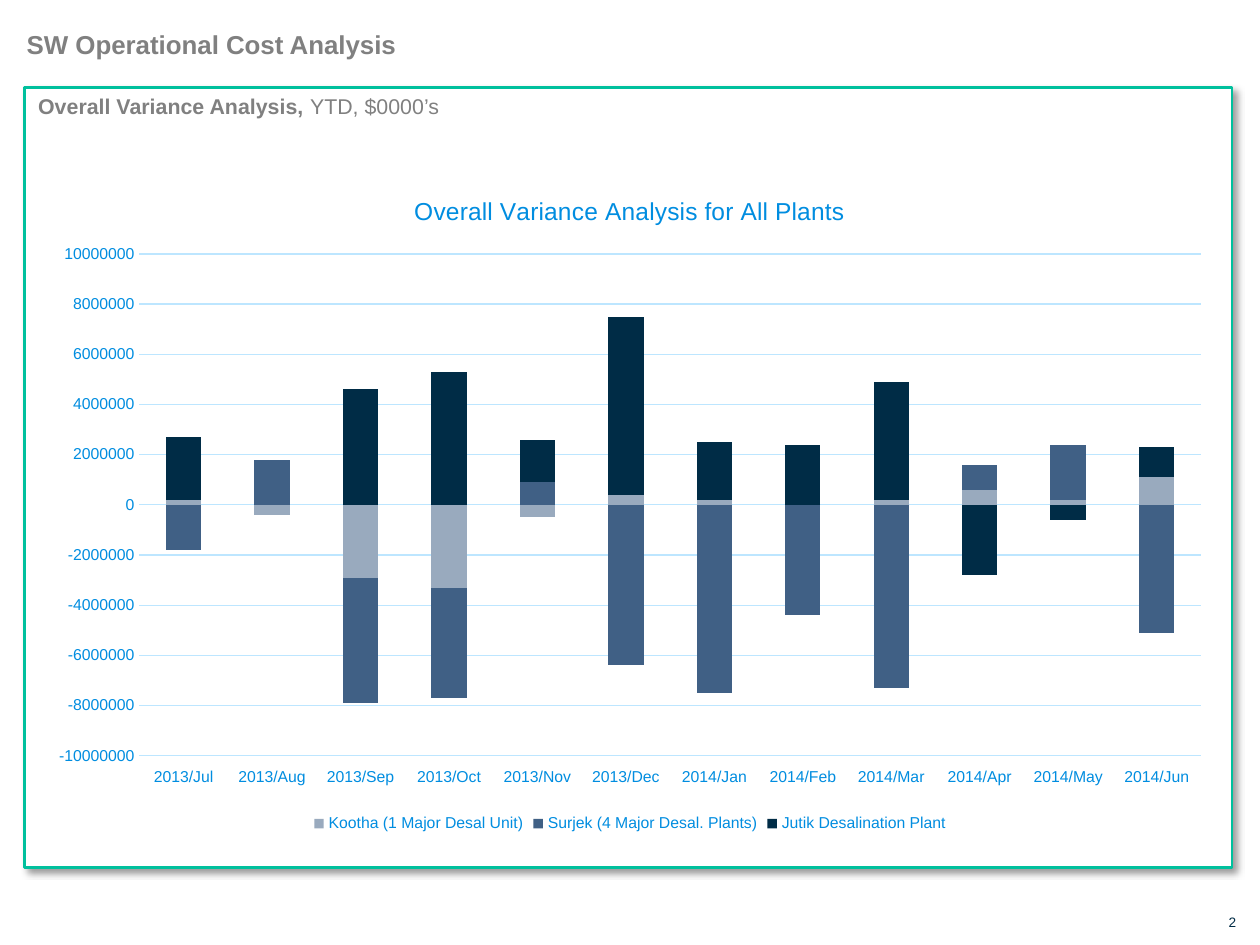
import pptx
import pptx.chart.data
import pptx.dml.color
import pptx.enum.chart
import pptx.enum.shapes
import pptx.enum.text
import pptx.oxml
import pptx.util
from dataclasses import dataclass
from pptx.util import Cm


@dataclass(frozen=True)
class Theme:
    font: str = "Arial"
    white: str = "FFFFFF"
    frame: str = "00C09D"
    heading: str = "808080"
    label: str = "008DE0"
    grid: str = "BDE6FF"
    dark: str = "002C46"
    title_size: float = 14.8
    subtitle_size: float = 12.2
    chart_title_size: float = 14
    label_size: float = 9
    number_size: float = 7.8


THEME = Theme()
MONTHS = ["2013/Jul", "2013/Aug", "2013/Sep", "2013/Oct", "2013/Nov", "2013/Dec",
          "2014/Jan", "2014/Feb", "2014/Mar", "2014/Apr", "2014/May", "2014/Jun"]
# Plant name, bar colour, variance in hundreds of thousands per month
PLANTS = [
    ("Kootha (1 Major Desal Unit)", "99AABE",
     [2, -4, -29, -33, -5, 4, 2, 0, 2, 6, 2, 11]),
    ("Surjek (4 Major Desal. Plants)", "406085",
     [-18, 18, -50, -44, 9, -64, -75, -44, -73, 10, 22, -51]),
    ("Jutik Desalination Plant", THEME.dark,
     [25, 0, 46, 53, 17, 71, 23, 24, 47, -28, -6, 12]),
]


def rgb(color):
    return pptx.dml.color.RGBColor.from_string(color)


def style_font(font, size, color, bold=False):
    font.name = THEME.font
    font.size = pptx.util.Pt(size)
    font.bold = bold
    font.color.rgb = rgb(color)


def add_text(page, box, spans, size, color, align=pptx.enum.text.PP_ALIGN.LEFT):
    """Place one line of (text, bold) spans in a box without margins."""
    frame = page.shapes.add_textbox(*box).text_frame
    frame.word_wrap = True
    frame.margin_left = frame.margin_right = frame.margin_top = frame.margin_bottom = 0
    para = frame.paragraphs[0]
    para.alignment = align
    for text, bold in spans:
        span = para.add_run()
        span.text = text
        style_font(span.font, size, color, bold)


def add_panel(page, box):
    """Framed panel with its heading and chart."""
    left, top, width, height = box
    panel = page.shapes.add_shape(pptx.enum.shapes.MSO_SHAPE.RECTANGLE, *box)
    panel.fill.solid()
    panel.fill.fore_color.rgb = rgb(THEME.white)
    panel.line.color.rgb = rgb(THEME.frame)
    panel.line.width = pptx.util.Pt(1.5)
    panel.shadow.inherit = False
    # Soft shadow to the lower right
    effects = panel._element.spPr.find(pptx.oxml.ns.qn("a:effectLst"))
    effects.append(pptx.oxml.parse_xml(
        f'<a:outerShdw {pptx.oxml.ns.nsdecls("a")} blurRad="50800" dist="38100" '
        'dir="2700000" algn="tl" rotWithShape="0"><a:srgbClr val="000000">'
        '<a:alpha val="40000"/></a:srgbClr></a:outerShdw>'))
    add_text(page, (left + Cm(0.27), top + Cm(0.1), Cm(20.52), Cm(0.53)),
             [("Overall Variance Analysis, ", True), ("YTD, $0000’s", False)],
             THEME.subtitle_size, THEME.heading)
    add_variance_chart(page, (left + Cm(0.21), top + Cm(1.68),
                              width - Cm(0.36), height - Cm(2.28)))


def set_layout(parent, target, box, **lengths):
    """Fix the place of a chart part, given as lengths inside the chart box."""
    _, _, width, height = box
    whole = {"x": width, "w": width, "y": height, "h": height}
    modes = "".join(f'<c:{key}Mode val="edge"/>' for key in "xy")
    values = "".join(f'<c:{key} val="{length / whole[key]}"/>'
                     for key, length in lengths.items())
    old = parent.find(pptx.oxml.ns.qn("c:layout"))
    if old is not None:
        parent.remove(old)
    layout = pptx.oxml.parse_xml(
        f'<c:layout {pptx.oxml.ns.nsdecls("c")}><c:manualLayout>{target}{modes}{values}'
        '</c:manualLayout></c:layout>')
    text = parent.find(pptx.oxml.ns.qn("c:tx"))
    parent.insert(0 if text is None else 1, layout)


def add_variance_chart(page, box):
    data = pptx.chart.data.CategoryChartData(number_format="General")
    data.categories = MONTHS
    for name, _, amounts in PLANTS:
        data.add_series(name, [amount * 100_000 for amount in amounts])
    chart = page.shapes.add_chart(
        pptx.enum.chart.XL_CHART_TYPE.COLUMN_STACKED, *box, data).chart
    style_font(chart.font, THEME.label_size, THEME.label)

    # Title and legend
    chart.has_title = True
    chart.chart_title.include_in_layout = False
    para = chart.chart_title.text_frame.paragraphs[0]
    para.text = "Overall Variance Analysis for All Plants"
    style_font(para.runs[0].font, THEME.chart_title_size, THEME.label)
    set_layout(chart.chart_title._element, "", box, x=Cm(7.55), y=Cm(0.4))
    chart.has_legend = True
    chart.legend.position = pptx.enum.chart.XL_LEGEND_POSITION.BOTTOM
    chart.legend.include_in_layout = False
    style_font(chart.legend.font, THEME.label_size, THEME.label)

    # Bars
    plot = chart.plots[0]
    plot.gap_width = 150
    plot.overlap = 100
    plot.vary_by_categories = False
    for series, (_, color, _) in zip(plot.series, PLANTS):
        series.invert_if_negative = False
        series.format.fill.solid()
        series.format.fill.fore_color.rgb = rgb(color)
    set_layout(chart._chartSpace.chart.plotArea, '<c:layoutTarget val="inner"/>', box,
               x=Cm(2.1), y=Cm(1.67), w=Cm(21.4), h=Cm(10.12))

    # Axes
    months, costs = chart.category_axis, chart.value_axis
    for axis in (months, costs):
        axis.major_tick_mark = axis.minor_tick_mark = pptx.enum.chart.XL_TICK_MARK.NONE
        style_font(axis.tick_labels.font, THEME.label_size, THEME.label)
    months.tick_label_position = pptx.enum.chart.XL_TICK_LABEL_POSITION.LOW
    costs.minimum_scale, costs.maximum_scale = -10_000_000, 10_000_000
    costs.major_unit = 2_000_000
    costs.has_major_gridlines = True
    costs.format.line.fill.background()
    for line in (months.format.line, costs.major_gridlines.format.line):
        line.color.rgb = rgb(THEME.grid)
        line.width = pptx.util.Pt(0.75)


def build_page(deck):
    page = deck.slides.add_slide(deck.slide_layouts[6])
    add_panel(page, (Cm(0.5), Cm(1.77), Cm(24.34), Cm(15.72)))
    # Heading and page number
    add_text(page, (Cm(0.54), Cm(0.57), Cm(24.34), Cm(0.64)),
             [("SW Operational Cost Analysis", True)], THEME.title_size, THEME.heading)
    add_text(page, (Cm(24.56), Cm(18.43), Cm(0.36), Cm(0.33)), [("2", False)],
             THEME.number_size, THEME.dark, pptx.enum.text.PP_ALIGN.RIGHT)


deck = pptx.Presentation()
deck.slide_width, deck.slide_height = Cm(25.4), Cm(19.05)
build_page(deck)
deck.save("out.pptx")
